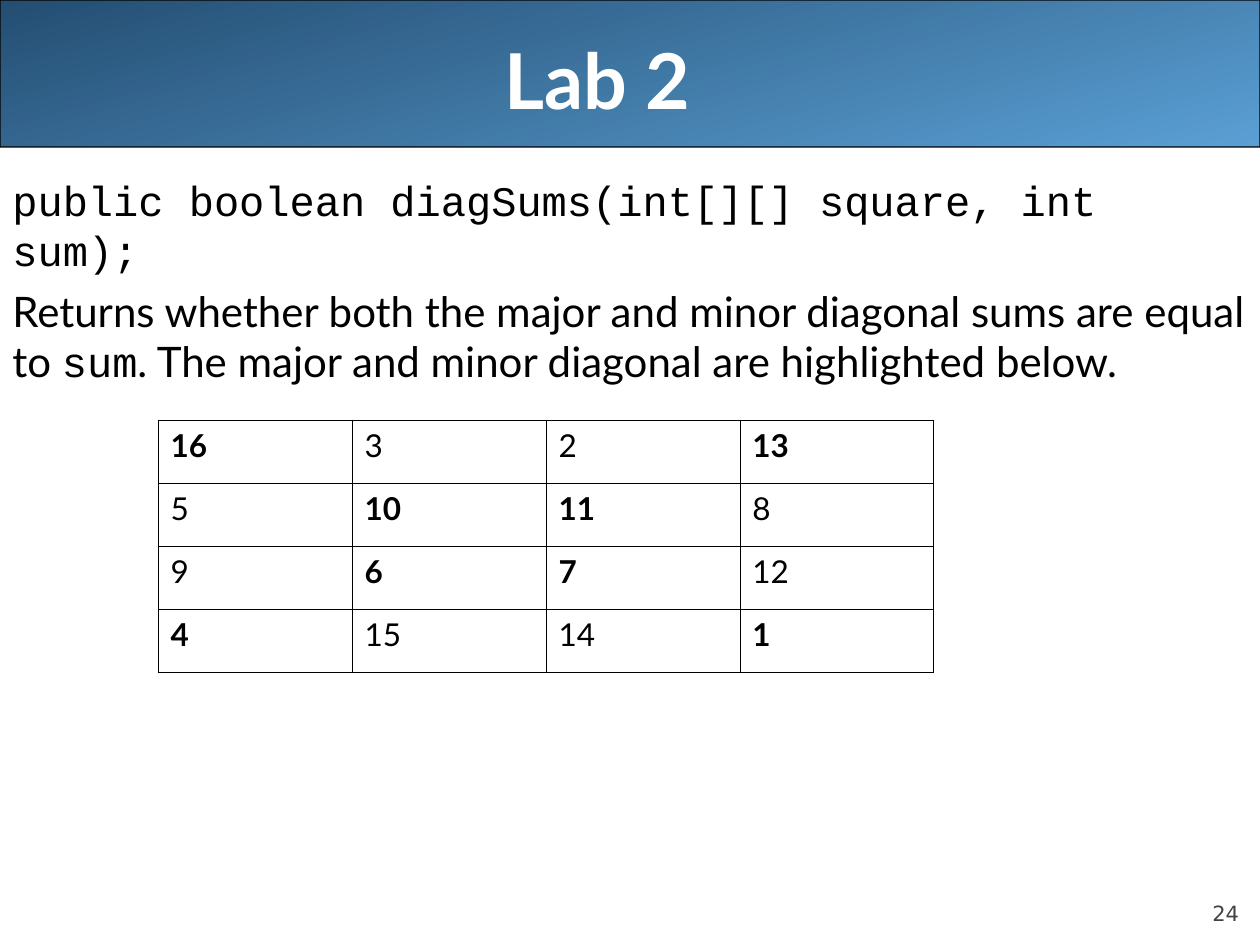
from typing import NamedTuple

from lxml.etree import SubElement
from pptx import Presentation
from pptx.dml.color import RGBColor
from pptx.enum.shapes import MSO_SHAPE
from pptx.enum.text import MSO_ANCHOR, PP_ALIGN
from pptx.oxml.ns import qn
from pptx.util import Emu, Pt

PX_PER_INCH = 126
BLACK = RGBColor(0x00, 0x00, 0x00)
WHITE = RGBColor(0xFF, 0xFF, 0xFF)
GRAY = RGBColor(0x42, 0x42, 0x42)
LIGHT_BLUE = RGBColor(0x5A, 0x9F, 0xD4)
DARK_BLUE = RGBColor(0x24, 0x4E, 0x72)
SANS = "Lato"
MONO = "Courier New"

SQUARE = [
    [16, 3, 2, 13],
    [5, 10, 11, 8],
    [9, 6, 7, 12],
    [4, 15, 14, 1],
]


class Span(NamedTuple):
    text: str
    font: str = SANS


DESCRIPTION = [
    [Span("public boolean diagSums(int[][] square, int sum);", MONO)],
    [
        Span("Returns whether both the major and minor diagonal sums are equal to "),
        Span("sum", MONO),
        Span(". The major and minor diagonal are highlighted below."),
    ],
]


def px(length: int) -> Emu:
    return Emu(round(length * 914400 / PX_PER_INCH))


def place(shape, left: int, top: int, width: int, height: int) -> None:
    shape.left, shape.top = px(left), px(top)
    shape.width, shape.height = px(width), px(height)


def add_span(para, text: str, *, size: int, font: str = SANS,
             color: RGBColor = BLACK, bold: bool = False) -> None:
    run = para.add_run()
    run.text = text
    run.font.name = font
    run.font.size = Pt(size)
    run.font.bold = bold
    run.font.color.rgb = color


def add_banner(page) -> None:
    banner = page.shapes.add_shape(MSO_SHAPE.ROUNDED_RECTANGLE, 0, 0, px(1260), px(147))
    banner.adjustments[0] = 0.001
    banner.shadow.inherit = False
    banner.fill.gradient()
    banner.fill.gradient_angle = 105
    for stop, color in zip(banner.fill.gradient_stops, (LIGHT_BLUE, DARK_BLUE)):
        stop.color.rgb = color
    banner.line.color.rgb = BLACK
    banner.line.width = Pt(0.75)
    page.shapes._spTree.insert(2, banner._element)  # behind the title


def format_title(title) -> None:
    place(title, 63, 0, 1134, 158)
    frame = title.text_frame
    frame.vertical_anchor = MSO_ANCHOR.MIDDLE
    frame.margin_right = px(78)
    para = frame.paragraphs[0]
    para.alignment = PP_ALIGN.CENTER
    add_span(para, "Lab 2", size=44, color=WHITE, bold=True)


def add_description(page) -> None:
    box = page.shapes.add_textbox(0, px(158), px(1259), px(787))
    frame = box.text_frame
    frame.word_wrap = True
    frame.margin_top = px(16)
    for index, spans in enumerate(DESCRIPTION):
        para = frame.add_paragraph() if index else frame.paragraphs[0]
        if index:
            para.space_before = Pt(6)
        for span in spans:
            add_span(para, span.text, size=24, font=span.font)


def set_borders(cell, color: RGBColor, width: Pt) -> None:
    properties = cell._tc.get_or_add_tcPr()
    for index, side in enumerate(("lnL", "lnR", "lnT", "lnB")):
        line = properties.makeelement(qn(f"a:{side}"), {"w": str(width)})
        fill = SubElement(line, qn("a:solidFill"))
        SubElement(fill, qn("a:srgbClr"), val=str(color))
        properties.insert(index, line)


def add_square(page) -> None:
    """Draw the number square with both diagonals in bold."""
    count = len(SQUARE)
    frame = page.shapes.add_table(count, count, px(158), px(420), px(194 * count), px(63 * count))
    table = frame.table
    table.first_row = table.horz_banding = False
    for row, values in enumerate(SQUARE):
        table.rows[row].height = px(63)
        table.columns[row].width = px(194)
        for column, value in enumerate(values):
            cell = table.cell(row, column)
            cell.fill.background()
            set_borders(cell, BLACK, Pt(0.45))
            on_diagonal = column in (row, count - 1 - row)
            add_span(cell.text_frame.paragraphs[0], str(value), size=18, bold=on_diagonal)


def add_page_number(page) -> None:
    box = page.shapes.add_textbox(px(1134), px(876), px(105), px(50))
    frame = box.text_frame
    frame.word_wrap = True
    frame.vertical_anchor = MSO_ANCHOR.BOTTOM
    frame.margin_left = frame.margin_top = frame.margin_right = frame.margin_bottom = 0
    para = frame.paragraphs[0]
    para.alignment = PP_ALIGN.RIGHT
    add_span(para, "24", size=12, font="DejaVu Sans", color=GRAY)


def main() -> None:
    deck = Presentation()
    deck.slide_width, deck.slide_height = px(1260), px(945)
    page = deck.slides.add_slide(deck.slide_layouts[5])
    format_title(page.shapes.title)
    add_banner(page)
    add_page_number(page)
    add_description(page)
    add_square(page)
    deck.save("out.pptx")


if __name__ == "__main__":
    main()
